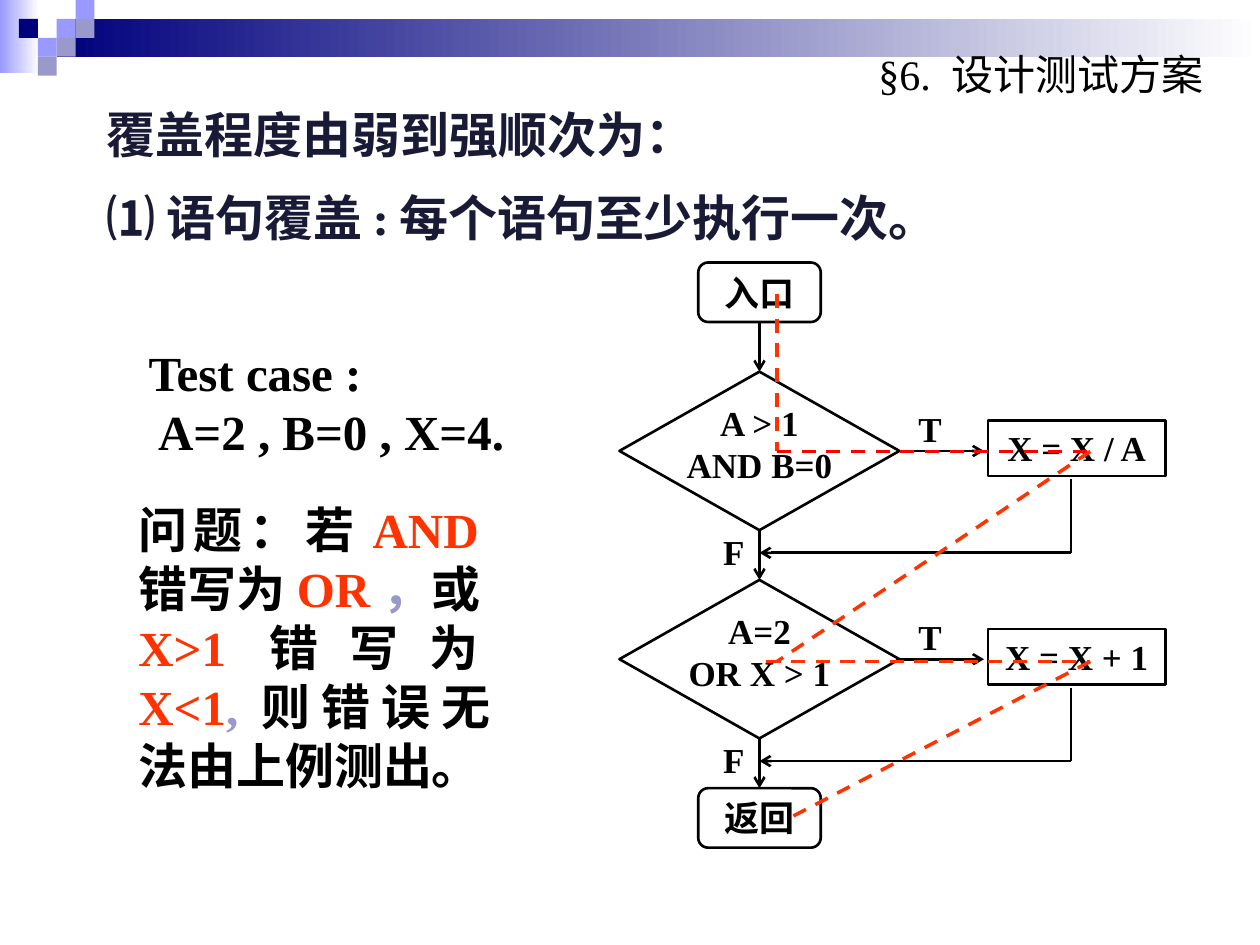
from lxml import etree
from pptx import Presentation
from pptx.dml.color import RGBColor
from pptx.enum.dml import MSO_LINE
from pptx.enum.shapes import MSO_CONNECTOR, MSO_SHAPE
from pptx.enum.text import MSO_ANCHOR, MSO_AUTO_SIZE, PP_ALIGN
from pptx.oxml.ns import qn
from pptx.util import Pt

RECT = MSO_SHAPE.RECTANGLE
TERMINAL = MSO_SHAPE.FLOWCHART_ALTERNATE_PROCESS
DECISION = MSO_SHAPE.FLOWCHART_DECISION
STRAIGHT = MSO_CONNECTOR.STRAIGHT
DASH = MSO_LINE.DASH
LEFT, CENTER, RIGHT, JUSTIFY = (PP_ALIGN.LEFT, PP_ALIGN.CENTER,
                                PP_ALIGN.RIGHT, PP_ALIGN.JUSTIFY)
TOP, MIDDLE = MSO_ANCHOR.TOP, MSO_ANCHOR.MIDDLE
FIT, FIXED = MSO_AUTO_SIZE.SHAPE_TO_FIT_TEXT, MSO_AUTO_SIZE.NONE

BLACK = RGBColor(0x00, 0x00, 0x00)
WHITE = RGBColor(0xFF, 0xFF, 0xFF)
NAVY = RGBColor(0x00, 0x00, 0x7D)
PERIWINKLE = RGBColor(0x99, 0x99, 0xFF)
LAVENDER = RGBColor(0x99, 0x99, 0xCC)
INK = RGBColor(0x18, 0x1A, 0x36)
ORANGE = RGBColor(0xFF, 0x33, 0x00)
RED = RGBColor(0xFF, 0x00, 0x00)

SERIF, SANS = "Times New Roman", "Karla"
INSETS = (7.2, 3.6, 7.2, 3.6)
DECISION_INSETS = (1.44, 0.72, 1.44, 9.36)


def apply(target, values):
    for name, value in values.items():
        setattr(target, name, value)


class SlideBuilder:
    def __init__(self, page, font=SERIF, line_width=1.5):
        self.page = page
        self.font = font
        self.line_width = line_width

    def set_text(self, box, paragraphs, size=20, color=BLACK, bold=True, font=None,
                 align=CENTER, anchor=TOP, wrap=True, fit=FIXED, insets=INSETS,
                 spacing=None, gap=None):
        """Fill a box; a paragraph is a string or a list of (text, colour)."""
        frame = box.text_frame
        left, top, right, bottom = map(Pt, insets)
        apply(frame, {"word_wrap": wrap, "auto_size": fit, "vertical_anchor": anchor,
                      "margin_left": left, "margin_top": top,
                      "margin_right": right, "margin_bottom": bottom})
        for index, content in enumerate(paragraphs):
            para = frame.add_paragraph() if index else frame.paragraphs[0]
            apply(para, {"alignment": align, "line_spacing": spacing})
            if index and gap:
                para.space_before = Pt(gap)
            spans = [(content, color)] if isinstance(content, str) else content
            for text, span_color in spans:
                span = para.add_run()
                span.text = text
                apply(span.font, {"name": font or self.font, "size": Pt(size),
                                  "bold": bold})
                span.font.color.rgb = span_color

    def text(self, x, y, width, height, paragraphs, **style):
        box = self.page.shapes.add_textbox(Pt(x), Pt(y), Pt(width), Pt(height))
        self.set_text(box, paragraphs, **{"fit": FIT, **style})

    def shape(self, kind, x, y, width, height):
        shape = self.page.shapes.add_shape(kind, Pt(x), Pt(y), Pt(width), Pt(height))
        shape.shadow.inherit = False
        return shape

    def block(self, x, y, width, height, start, end=None):
        """Borderless rectangle, solid or fading from start to end."""
        block = self.shape(RECT, x, y, width, height)
        block.line.fill.background()
        if end is None:
            block.fill.solid()
            block.fill.fore_color.rgb = start
            return
        block.fill.gradient()
        block.fill.gradient_angle = 0
        for stop, color in zip(block.fill.gradient_stops, (start, end)):
            stop.color.rgb = color

    def node(self, kind, x, y, width, height, paragraphs, **style):
        node = self.shape(kind, x, y, width, height)
        node.fill.background()
        node.line.color.rgb = BLACK
        node.line.width = Pt(self.line_width)
        self.set_text(node, paragraphs, **style)

    def line(self, start, end, arrow=False, color=BLACK, width=None, dash=None):
        line = self.page.shapes.add_connector(STRAIGHT, *map(Pt, start + end))
        line.line.color.rgb = color
        line.line.width = Pt(width or self.line_width)
        if dash:
            line.line.dash_style = dash
        properties = line._element.spPr
        if arrow:
            tail = etree.SubElement(properties.find(qn("a:ln")), qn("a:tailEnd"))
            tail.set("type", "arrow")
        etree.SubElement(properties, qn("a:effectLst"))


def draw_banner(slide):
    tile = 10.8
    slide.block(0, 0, 22.5, 42, PERIWINKLE, WHITE)
    slide.block(3 * tile, tile, 720 - 3 * tile, 2 * tile, NAVY, WHITE)
    for column, row, color in [(3, 1, PERIWINKLE), (4, 0, PERIWINKLE),
                               (4, 1, LAVENDER), (2, 2, PERIWINKLE), (1, 1, NAVY),
                               (3, 2, LAVENDER), (2, 3, LAVENDER)]:
        slide.block(column * tile, row * tile, tile, tile, color)


def draw_flowchart(slide):
    axis, return_x = 434, 612
    first_top, pitch = 212.4, 119
    terminal = {"anchor": MIDDLE, "wrap": False}
    slide.node(TERMINAL, axis - 35, 150, 70, 34, ["入口"], **terminal)
    slide.line((axis, 184), (axis, first_top), arrow=True)
    for index, (condition, action) in enumerate([
            (["A > 1", "AND B=0"], "X = X / A"),
            (["A=2", "OR X > 1"], "X = X + 1")]):
        top = first_top + index * pitch
        middle, merge = top + 45.3, top + 103.5
        slide.node(DECISION, axis - 80, top, 160, 90.6, condition,
                   insets=DECISION_INSETS, **terminal)
        slide.line((axis + 80, middle), (562.3, middle), arrow=True)
        slide.text(510.5, top + 17, 41.8, 31.7, ["T"], align=CENTER)
        slide.node(RECT, 564.5, top + 28, 101.5, 31.7, [action], fit=FIT)
        slide.line((return_x, top + 61.5), (return_x, merge))
        slide.line((return_x, merge), (axis, merge), arrow=True)
        slide.line((axis, top + 90.6), (axis, top + pitch), arrow=True)
        slide.text(403, top + 87, 29.5, 31.7, ["F"], align=RIGHT)
    slide.node(TERMINAL, axis - 35, first_top + 2 * pitch, 70, 34, ["返回"],
               **terminal)


def draw_test_route(slide):
    for start, end, color in [((444, 168), (444, 258), ORANGE),
                              ((444, 258), (623, 258), RED),
                              ((623, 258), (444, 378), ORANGE),
                              ((438, 378), (623, 378), ORANGE),
                              ((623, 378), (450, 468), ORANGE)]:
        slide.line(start, end, color=color, width=2, dash=DASH)


def main():
    deck = Presentation()
    deck.slide_width, deck.slide_height = Pt(720), Pt(540)
    slide = SlideBuilder(deck.slides.add_slide(deck.slide_layouts[6]))
    draw_banner(slide)
    slide.text(468, 24, 226.8, 36, ["§6. 设计测试方案"], size=24, bold=False,
               align=RIGHT, anchor=MIDDLE, fit=FIXED)
    slide.text(72, 282.2, 215.3, 175.7, [[
        ("问题：若", BLACK), ("AND", ORANGE), ("错写为", BLACK), ("OR", ORANGE),
        ("，", LAVENDER), ("或", BLACK), ("X>1", ORANGE), ("错写为", BLACK),
        ("X<1", ORANGE), (",", LAVENDER), ("则错误无法由上例测出。", BLACK),
    ]], size=28, align=JUSTIFY)
    draw_flowchart(slide)
    draw_test_route(slide)
    slide.text(77.8, 192.2, 250.6, 74.9, ["Test case :", " A=2 , B=0 , X=4."],
               size=28, align=LEFT)
    slide.text(54, 59.8, 504, 85.7,
               ["覆盖程度由弱到强顺次为：", "⑴ 语句覆盖:每个语句至少执行一次。"],
               size=28, color=INK, font=SANS, align=LEFT, spacing=0.9, gap=17.5)
    deck.save("out.pptx")


if __name__ == "__main__":
    main()
